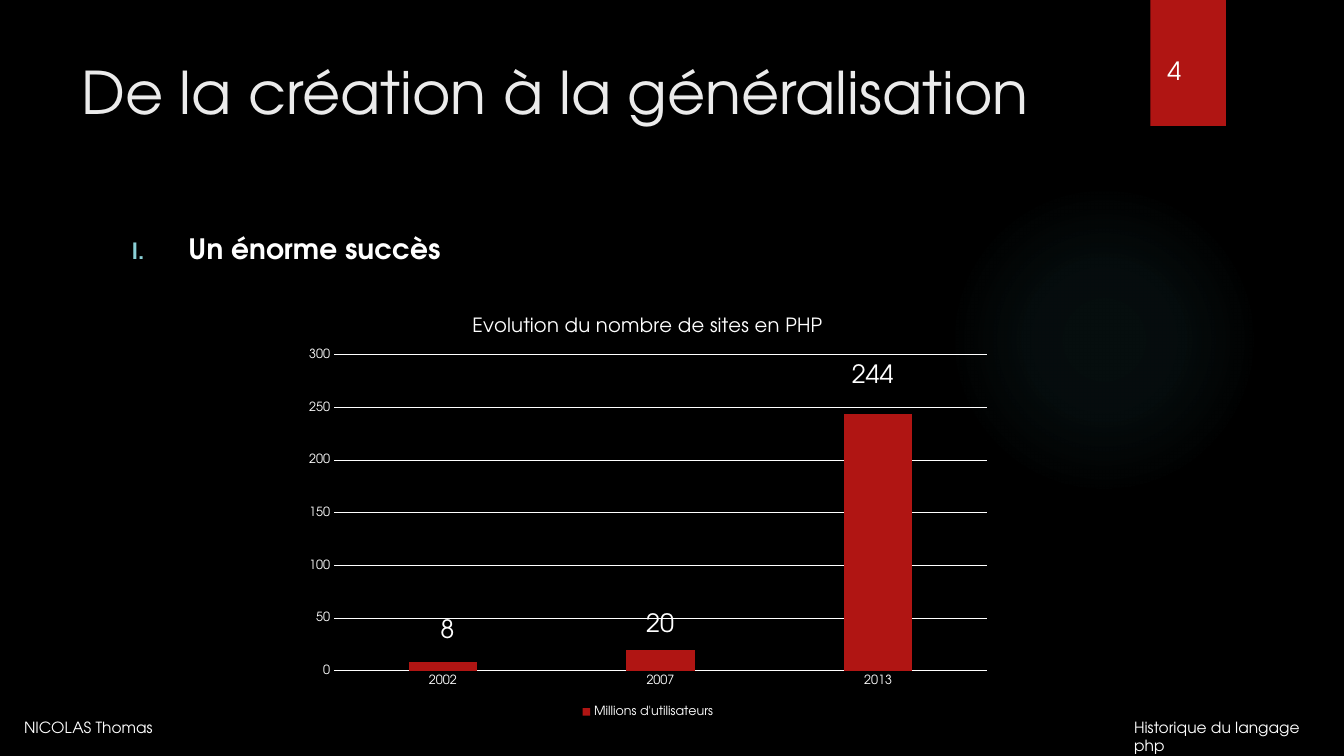
"""Build the slide on the growth of PHP sites, with its column chart."""
import pptx
import pptx.chart.data
import pptx.dml.color
import pptx.enum.chart
import pptx.enum.shapes
import pptx.enum.text
import pptx.oxml
import pptx.oxml.ns
import pptx.util
from dataclasses import dataclass
from pptx.util import Inches


@dataclass(frozen=True)
class Theme:
    font: str = "TeX Gyre Adventor"
    background: str = "000000"
    text: str = "FFFFFF"
    heading: str = "EBEBEB"
    accent: str = "B01513"
    glow: str = "50B9C1"
    numeral: str = "8AD0D6"
    title_size: int = 42
    point_size: int = 20
    label_size: int = 18
    chart_title_size: int = 14
    footer_size: int = 11
    axis_size: int = 9


theme = Theme()


def rgb(value):
    return pptx.dml.color.RGBColor.from_string(value)


def style(font, size, color=theme.text, bold=False):
    font.name = theme.font
    font.size = pptx.util.Pt(size)
    font.color.rgb = rgb(color)
    font.bold = bold


deck = pptx.Presentation()
deck.slide_width, deck.slide_height = Inches(13.33), Inches(7.5)
slide = deck.slides.add_slide(deck.slide_layouts[5])
slide.background.fill.solid()
slide.background.fill.fore_color.rgb = rgb(theme.background)

glow = slide.shapes.add_shape(
    pptx.enum.shapes.MSO_SHAPE.OVAL, Inches(9.41), Inches(1.83), Inches(3.08), Inches(3.08))
glow.shadow.inherit = False
glow.line.fill.background()
stops = "".join(
    f'<a:gs pos="{position * 1000}"><a:srgbClr val="{theme.glow}">'
    f'<a:alpha val="{opacity * 1000}"/></a:srgbClr></a:gs>'
    for position, opacity in [(0, 7), (36, 6), (69, 0), (100, 0)])
glow_fill = pptx.oxml.parse_xml(
    f'<a:gradFill {pptx.oxml.ns.nsdecls("a")}><a:gsLst>{stops}</a:gsLst><a:path path="circle">'
    '<a:fillToRect l="50000" t="50000" r="50000" b="50000"/></a:path></a:gradFill>')
glow.element.spPr.find(pptx.oxml.ns.qn("a:prstGeom")).addnext(glow_fill)

page_tab = slide.shapes.add_shape(
    pptx.enum.shapes.MSO_SHAPE.RECTANGLE, Inches(11.41), 0, Inches(0.75), Inches(1.25))
page_tab.shadow.inherit = False
page_tab.fill.solid()
page_tab.fill.fore_color.rgb = rgb(theme.accent)
page_tab.line.fill.background()

heading = slide.shapes.title
heading.left, heading.top = Inches(0.71), Inches(0.5)
heading.width, heading.height = Inches(10.29), Inches(1.53)
heading.text_frame.text = "De la création à la généralisation"
heading.text_frame.auto_size = pptx.enum.text.MSO_AUTO_SIZE.NONE
heading.text_frame.vertical_anchor = pptx.enum.text.MSO_ANCHOR.TOP
heading.text_frame.paragraphs[0].alignment = pptx.enum.text.PP_ALIGN.LEFT
style(heading.text_frame.paragraphs[0].runs[0].font, theme.title_size, theme.heading)

point = slide.shapes.add_textbox(Inches(1.21), Inches(2.25), Inches(9.78), Inches(0.5))
point.text_frame.word_wrap = True
point.text_frame.text = "Un énorme succès"
point_line = point.text_frame.paragraphs[0]
point_line.space_before = pptx.util.Pt(10)
style(point_line.runs[0].font, theme.point_size, bold=True)
numbering = point_line._p.get_or_add_pPr()
numbering.set("marL", str(Inches(0.56)))
numbering.set("indent", str(Inches(-0.56)))
for tag in (f'<a:buClr {{}}><a:srgbClr val="{theme.numeral}"/></a:buClr>',
            '<a:buSzPct {} val="80000"/>',
            '<a:buAutoNum {} type="romanUcPeriod"/>'):
    numbering.append(pptx.oxml.parse_xml(tag.format(pptx.oxml.ns.nsdecls("a"))))

sites = pptx.chart.data.CategoryChartData()
sites.categories = ["2002", "2007", "2013"]
sites.add_series("Millions d'utilisateurs", [8, 20, 244])
chart = slide.shapes.add_chart(
    pptx.enum.chart.XL_CHART_TYPE.COLUMN_CLUSTERED,
    Inches(2.92), Inches(2.96), Inches(7.01), Inches(4.2), sites).chart
style(chart.font, theme.axis_size)
chart.has_title = True
chart.chart_title.text_frame.text = "Evolution du nombre de sites en PHP"
style(chart.chart_title.text_frame.paragraphs[0].runs[0].font, theme.chart_title_size)
chart.has_legend = True
chart.legend.position = pptx.enum.chart.XL_LEGEND_POSITION.BOTTOM
chart.legend.include_in_layout = False
style(chart.legend.font, theme.axis_size)

columns = chart.plots[0]
columns.gap_width, columns.overlap = 219, -27
columns.vary_by_categories = False
columns.series[0].format.fill.solid()
columns.series[0].format.fill.fore_color.rgb = rgb(theme.accent)

years, millions = chart.category_axis, chart.value_axis
for axis in (years, millions):
    axis.major_tick_mark = axis.minor_tick_mark = pptx.enum.chart.XL_TICK_MARK.NONE
    style(axis.tick_labels.font, theme.axis_size)
millions.minimum_scale, millions.maximum_scale, millions.major_unit = 0, 300, 50
millions.has_major_gridlines = True
millions.format.line.fill.background()
for rule in (years.format.line, millions.major_gridlines.format.line):
    rule.color.rgb = rgb(theme.text)
    rule.width = pptx.util.Pt(0.75)

plot_area = chart.element.chart.plotArea
for stale in plot_area.findall(pptx.oxml.ns.qn("c:layout")):
    plot_area.remove(stale)
plot_area.insert(0, pptx.oxml.parse_xml(
    f'<c:layout {pptx.oxml.ns.nsdecls("c")}><c:manualLayout><c:layoutTarget val="inner"/>'
    '<c:xMode val="edge"/><c:yMode val="edge"/><c:x val="0.056"/><c:y val="0.133"/>'
    '<c:w val="0.924"/><c:h val="0.747"/></c:manualLayout></c:layout>'))

for wording, left, top, width, height, size, wraps in [
    ("NICOLAS Thomas", 0.14, 7.07, 2.37, 0.29, theme.footer_size, True),
    ("Historique du langage php", 11.15, 7.07, 2.18, 0.29, theme.footer_size, True),
    ("4", 11.48, 0.5, 1, 0.4, theme.label_size, True),
    ("8", 4.27, 6.04, 0.23, 0.4, theme.label_size, False),
    ("20", 6.31, 5.98, 0.53, 0.4, theme.label_size, False),
    ("244", 8.35, 3.51, 0.7, 0.4, theme.label_size, False),
]:
    caption = slide.shapes.add_textbox(Inches(left), Inches(top), Inches(width), Inches(height))
    caption.text_frame.word_wrap = wraps
    caption.text_frame.text = wording
    style(caption.text_frame.paragraphs[0].runs[0].font, size)

deck.save("out.pptx")
